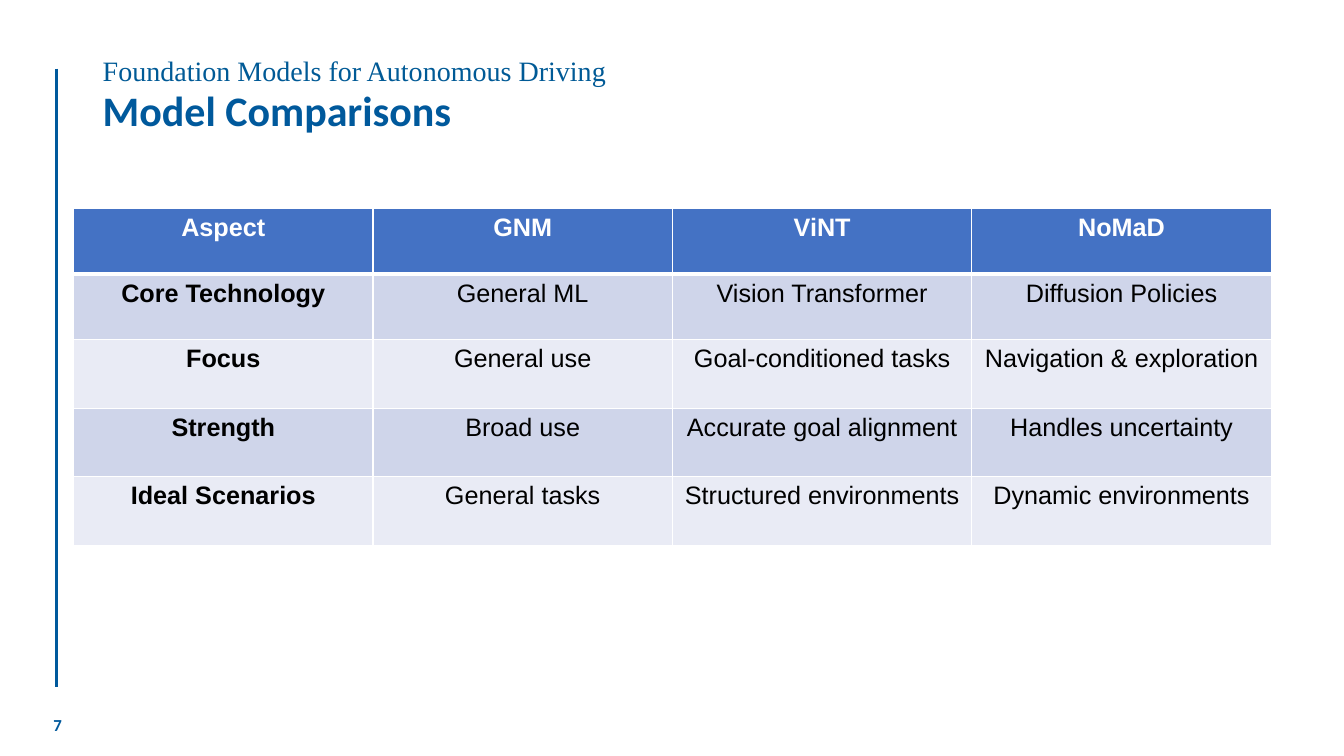
from lxml.etree import SubElement
from pptx import Presentation
from pptx.dml.color import RGBColor
from pptx.enum.shapes import MSO_CONNECTOR
from pptx.enum.text import MSO_ANCHOR, PP_ALIGN
from pptx.oxml.ns import qn
from pptx.util import Pt

PX = 9144  # 100 px to the inch
BLUE = RGBColor(0x00, 0x59, 0x9C)
SUBTITLE_BLUE = RGBColor(0x00, 0x5A, 0x96)
HEADER_BLUE = RGBColor(0x44, 0x72, 0xC4)
BANDS = [RGBColor(0xE9, 0xEB, 0xF5), RGBColor(0xCF, 0xD5, 0xEA)]
WHITE = RGBColor(0xFF, 0xFF, 0xFF)
BLACK = RGBColor(0x00, 0x00, 0x00)

ROWS = [
    ["Aspect", "GNM", "ViNT", "NoMaD"],
    ["Core Technology", "General ML", "Vision Transformer", "Diffusion Policies"],
    ["Focus", "General use", "Goal-conditioned tasks", "Navigation & exploration"],
    ["Strength", "Broad use", "Accurate goal alignment", "Handles uncertainty"],
    ["Ideal Scenarios", "General tasks", "Structured environments", "Dynamic environments"],
]
ROW_HEIGHTS = [65, 65, 68, 68, 68]
COLUMN_WIDTH = 297

deck = Presentation()
deck.slide_width = 1333 * PX
deck.slide_height = 750 * PX
page = deck.slides.add_slide(deck.slide_layouts[6])


def write(frame, text, size, font, color, bold=False, align=PP_ALIGN.LEFT, spacing=1.0):
    para = frame.paragraphs[0]
    para.alignment = align
    para.line_spacing = spacing
    span = para.add_run()
    span.text = text
    span.font.size = Pt(size)
    span.font.name = font
    span.font.bold = bold
    span.font.color.rgb = color


def add_text(left, top, width, height, text, anchor=MSO_ANCHOR.MIDDLE, **style):
    box = page.shapes.add_textbox(left * PX, top * PX, width * PX, height * PX)
    box.text_frame.word_wrap = True
    box.text_frame.vertical_anchor = anchor
    write(box.text_frame, text, **style)


# Side rule, page number and headings
rule = page.shapes.add_connector(MSO_CONNECTOR.STRAIGHT, 56 * PX, 68 * PX, 56 * PX, 682 * PX)
rule.line.color.rgb = BLUE
rule.line.width = Pt(2.25)
SubElement(rule._element.spPr, qn("a:effectLst"))

add_text(43, 698, 282, 43, "7", size=12, font="Calibri", color=BLUE, bold=True)
add_text(92, 73, 1108, 78, "Model Comparisons",
         size=30, font="Calibri", color=BLUE, bold=True, spacing=0.9)
add_text(92, 52, 1108, 55, "Foundation Models for Autonomous Driving", anchor=MSO_ANCHOR.TOP,
         size=20, font="Times New Roman", color=SUBTITLE_BLUE, spacing=0.9)

# Comparison table
table = page.shapes.add_table(len(ROWS), len(ROWS[0]), 73 * PX, 207 * PX,
                              COLUMN_WIDTH * len(ROWS[0]) * PX, sum(ROW_HEIGHTS) * PX).table
for column in table.columns:
    column.width = COLUMN_WIDTH * PX

for r, (texts, height) in enumerate(zip(ROWS, ROW_HEIGHTS)):
    table.rows[r].height = height * PX
    is_header = r == 0
    for c, text in enumerate(texts):
        cell = table.cell(r, c)
        border_widths = {"L": 1, "R": 1, "T": 3 if r == 1 else 1, "B": 3 if is_header else 1}
        properties = cell._tc.get_or_add_tcPr()
        for side, width in border_widths.items():
            border = SubElement(properties, qn(f"a:ln{side}"), w=str(Pt(width)))
            SubElement(SubElement(border, qn("a:solidFill")), qn("a:srgbClr"), val=str(WHITE))
        cell.fill.solid()
        cell.fill.fore_color.rgb = HEADER_BLUE if is_header else BANDS[r % 2]
        write(cell.text_frame, text, size=18, font="Arial", color=WHITE if is_header else BLACK,
              bold=is_header or c == 0, align=PP_ALIGN.CENTER)

deck.save("out.pptx")
